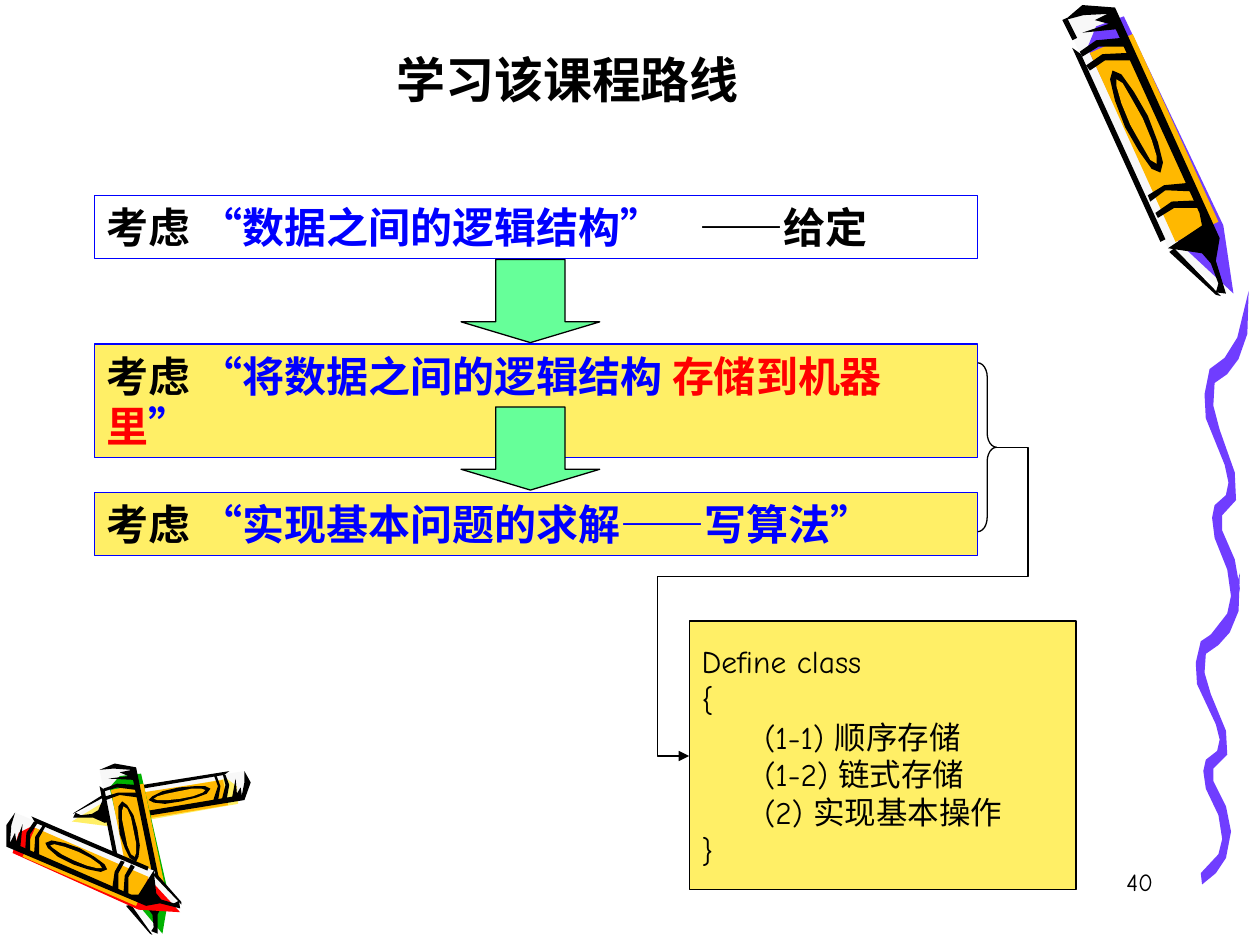
import math

from lxml import etree
from pptx import Presentation
from pptx import util as u
from pptx.dml.color import RGBColor
from pptx.enum import shapes, text
from pptx.oxml import ns

PX = 9144  # EMU per px, 100 px to the inch
FONT = "Comic Neue"
COLORS = {
    "black": "000000", "white": "FFFFFF", "blue": "0000FF", "red": "FF0000",
    "yellow": "FFEF66", "orange": "FFB800", "purple": "703DFF", "green": "00B200",
    "mint": "66FF99", "pale": "F8F8F8",
}


def style(shape, fill, line=None):
    """Flat fill and thin outline; None leaves either one out."""
    shape.shadow.inherit = False
    if fill:
        shape.fill.solid()
        shape.fill.fore_color.rgb = RGBColor.from_string(COLORS[fill])
    else:
        shape.fill.background()
    if line:
        shape.line.color.rgb = RGBColor.from_string(COLORS[line])
        shape.line.width = u.Pt(0.75)
    else:
        shape.line.fill.background()


def write(shape, paragraphs, size, bold=False, align=text.PP_ALIGN.LEFT,
          anchor=text.MSO_ANCHOR.TOP, wrap=True):
    """Each paragraph is a list of (words, colour) runs."""
    frame = shape.text_frame
    frame.word_wrap = wrap
    frame.vertical_anchor = anchor
    for index, runs in enumerate(paragraphs):
        paragraph = frame.paragraphs[0] if index == 0 else frame.add_paragraph()
        paragraph.alignment = align
        for words, color in runs:
            run = paragraph.add_run()
            run.text = words
            run.font.name = FONT
            run.font.size = u.Pt(size)
            run.font.bold = bold
            run.font.color.rgb = RGBColor.from_string(COLORS[color])


presentation = Presentation()
presentation.slide_width = 1000 * PX
presentation.slide_height = 750 * PX
slide = presentation.slides.add_slide(presentation.slide_layouts[6])

# One crayon: (along, across) in percent of its length and width, axis from cap to tip
# "ink" stands for the colour of the cap and tip
paper = [(-2, -50), (1, 30), (82, 26), (99, 0), (78, -56)]
core = [(4, -10), (5, 38), (79, 40), (100, 8), (78, -34), (9, -36)]
wrapper = [(11, -36), (11, 38), (77, 35), (77, -40)]
cap_shade = [(4, -34), (8, 23), (2, 20), (2, -6), (5, 11)]
thin_rail = [(7, -58), (75, -61), (75, -52), (10, -49)]
thick_rail = [(78, -56), (76, 9), (72, 15), (2, 17), (-1, -19), (-2, -50), (-4, -15), (1, 30),
              (82, 26), (88, 6), (99, -1), (97, -16), (95, -7), (88, -3), (84, -10)]
tip_edge = [(79, -56), (98, -17), (99, -12), (79, -46)]
band = [(16, -49), (15, -19), (19, 21), (16, 21), (13, -18), (14, -49)]
crayon_parts = [("pale", paper), ("ink", core), ("orange", wrapper), ("black", cap_shade),
                ("black", thin_rail), ("black", thick_rail), ("black", tip_edge)]
for shift in (-5, 0, 46, 52):
    crayon_parts.append(("black", [(along + shift, across) for along, across in band]))
for color, long_radius, short_radius in (("black", 18, 20), ("orange", 15, 11)):
    angles = [math.radians(degrees) for degrees in range(0, 360, 30)]
    crayon_parts.append((color, [(37 + long_radius * math.cos(angle), -15 + short_radius * math.sin(angle))
                                 for angle in angles]))

# Crayons from back to front: ink, cap, tip, width (negative mirrors the crayon)
crayons = [
    ("purple", (870, 10), (975, 235), 50),
    ("yellow", (194, 626), (57, 650), 28),
    ("green", (97, 610), (126, 742), 36),
    ("red", (8, 662), (144, 722), -34),
]
drawings = []
for ink, (cap_x, cap_y), (tip_x, tip_y), width in crayons:
    run_x, run_y = tip_x - cap_x, tip_y - cap_y
    ratio = width / math.hypot(run_x, run_y)
    drawings.append([
        (ink if color == "ink" else color,
         [(round(cap_x + (along * run_x + across * ratio * run_y) / 100),
           round(cap_y + (along * run_y - across * ratio * run_x) / 100)) for along, across in outline])
        for color, outline in crayon_parts])

# Squiggle: one ribbon between two edges, drawn twice with the lower copy shorter
left_edge = [(35, 0), (26, 37), (16, 53), (4, 62), (0, 82), (1, 101), (16, 138), (19, 152),
             (17, 162), (8, 170), (6, 180), (8, 196), (18, 221), (21, 242), (18, 256), (4, 274)]
right_edge = [(34, 34), (27, 54), (18, 66), (8, 73), (7, 91), (12, 110), (24, 144), (25, 166),
              (14, 178), (14, 190), (24, 213), (28, 236), (24, 260), (16, 273), (5, 284)]
ribbon = left_edge + right_edge[::-1]
drawings.append([("purple", [(left + x, round(top + y * stretch)) for x, y in ribbon])
                 for left, top, stretch in ((949, 455, 0.87), (956, 231, 1))])

for drawing in drawings:
    group = slide.shapes.add_group_shape()
    for color, points in drawing:
        builder = group.shapes.build_freeform(*points[0], scale=PX)
        builder.add_line_segments(points[1:], close=True)
        style(builder.convert_to_shape(), color)

# Left edge of the large crayon's cap
cap_edge = slide.shapes.add_connector(shapes.MSO_CONNECTOR.STRAIGHT, 845 * PX, 15 * PX, 853 * PX, 31 * PX)
cap_edge.line.width = u.Pt(3)

# Title
title = slide.shapes.add_textbox(75 * PX, 0, 751 * PX, 91 * PX)
write(title, [[("学习该课程路线", "black")]], 28, True, text.PP_ALIGN.CENTER, text.MSO_ANCHOR.BOTTOM)

# Three steps
steps = [
    (155, 50, "white", [("“数据之间的逻辑结构”", "blue"), ("\t——给定", "black")]),
    (273, 90, "yellow", [("“将数据之间的逻辑结构 ", "blue"), ("存储到机器里", "red"), ("”", "blue")]),
    (391, 50, "yellow", [("“实现基本问题的求解——写算法”", "blue")]),
]
for top, height, fill, runs in steps:
    step = slide.shapes.add_shape(shapes.MSO_SHAPE.RECTANGLE, 75 * PX, top * PX, 701 * PX, height * PX)
    style(step, fill, "blue")
    write(step, [[("考虑 ", "black")] + runs], 24, True)
    # Tab stop for a remark after the step
    properties = step.text_frame.paragraphs[0]._p.get_or_add_pPr()
    tabs = etree.SubElement(properties, ns.qn("a:tabLst"))
    etree.SubElement(tabs, ns.qn("a:tab"), pos=str(470 * PX), algn="l")

# Arrows between the steps
for top in (206, 323):
    arrow = slide.shapes.add_shape(shapes.MSO_SHAPE.DOWN_ARROW, 366 * PX, top * PX, 110 * PX, 66 * PX)
    arrow.adjustments[1] = 0.25
    style(arrow, "mint", "black")

# Class outline
class_box = slide.shapes.add_shape(shapes.MSO_SHAPE.RECTANGLE, 547 * PX, 493 * PX, 307 * PX, 213 * PX)
style(class_box, "yellow", "black")
members = ["(1-1) 顺序存储", "(1-2) 链式存储", "(2) 实现基本操作"]
lines = ["Define class", "{", *members, "}"]
write(class_box, [[(line, "black")] for line in lines], 18, anchor=text.MSO_ANCHOR.MIDDLE, wrap=False)
for paragraph in class_box.text_frame.paragraphs:
    if paragraph.text in members:
        paragraph._p.get_or_add_pPr().set("marL", str(50 * PX))

# Brace around the last two steps
brace = slide.shapes.add_shape(shapes.MSO_SHAPE.RIGHT_BRACE, 776 * PX, 288 * PX, 15 * PX, 134 * PX)
brace.adjustments[0] = 0.75
style(brace, None, "black")

# Five-part elbow from the brace to the class outline
elbow = slide.shapes.add_connector(shapes.MSO_CONNECTOR.ELBOW, 791 * PX, 355 * PX, 547 * PX, 600 * PX)
elbow.line.width = u.Pt(0.75)
geometry = elbow._element.spPr.find(ns.qn("a:prstGeom"))
geometry.set("prst", "bentConnector5")
guides = geometry.find(ns.qn("a:avLst"))
for index, value in enumerate((-10200, 41900, 110200), 1):
    etree.SubElement(guides, ns.qn("a:gd"), name=f"adj{index}", fmla=f"val {value}")

for connector in (cap_edge, elbow):
    connector.line.color.rgb = RGBColor.from_string(COLORS["black"])
    etree.SubElement(connector._element.spPr, ns.qn("a:effectLst"))
etree.SubElement(elbow.line._get_or_add_ln(), ns.qn("a:tailEnd"), type="triangle")

# Page number
number = slide.shapes.add_textbox(717 * PX, 683 * PX, 208 * PX, 50 * PX)
write(number, [[("40", "black")]], 14, align=text.PP_ALIGN.RIGHT)

presentation.save("out.pptx")
